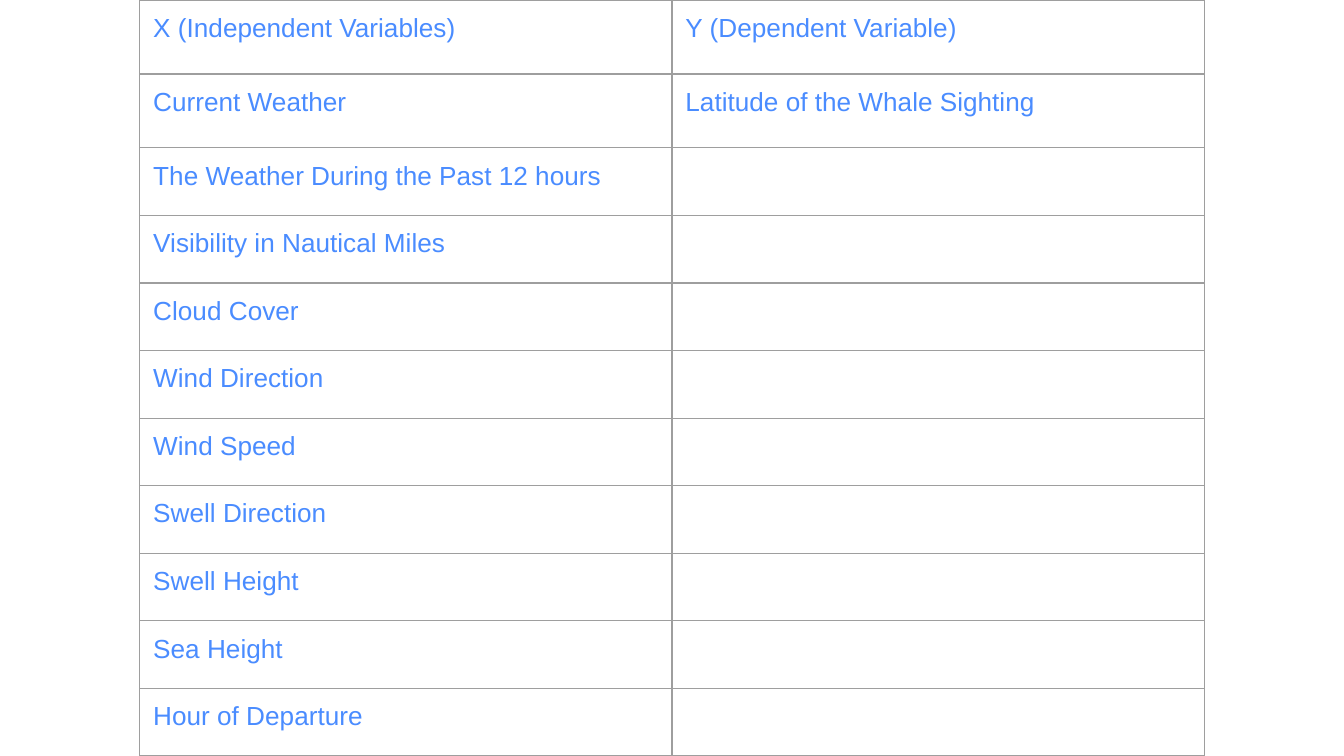
from lxml.etree import SubElement
from pptx import Presentation
from pptx.dml.color import RGBColor
from pptx.oxml.ns import qn
from pptx.util import Inches, Pt

TEXT_BLUE = RGBColor(0x4A, 0x8C, 0xFF)
BORDER_GRAY = RGBColor(0x9E, 0x9E, 0x9E)
FONT_NAME = "Arial"

INDEPENDENT = [
    "X (Independent Variables)",
    "Current Weather",
    "The Weather During the Past 12 hours",
    "Visibility in Nautical Miles",
    "Cloud Cover",
    "Wind Direction",
    "Wind Speed",
    "Swell Direction",
    "Swell Height",
    "Sea Height",
    "Hour of Departure",
]
DEPENDENT = ["Y (Dependent Variable)", "Latitude of the Whale Sighting"]

# A 16:9 slide
SLIDE_WIDTH = 10
SLIDE_HEIGHT = SLIDE_WIDTH * 9 / 16

# Rows with text in both columns are taller; the others share the rest
COLUMN_WIDTH = 3.96
TALL_ROW = 0.55
TALL_COUNT = len(DEPENDENT)
SHORT_COUNT = len(INDEPENDENT) - TALL_COUNT
SHORT_ROW = (SLIDE_HEIGHT - TALL_ROW * TALL_COUNT) / SHORT_COUNT


def add_borders(cell):
    properties = cell._tc.get_or_add_tcPr()
    for side in ("lnL", "lnR", "lnT", "lnB"):
        line = SubElement(properties, qn(f"a:{side}"), w=str(Pt(0.75)))
        fill = SubElement(line, qn("a:solidFill"))
        SubElement(fill, qn("a:srgbClr"), val=str(BORDER_GRAY))


def write_cell(cell, text):
    cell.margin_left = cell.margin_right = Inches(0.1)
    cell.margin_top = cell.margin_bottom = Inches(0.1)
    run = cell.text_frame.paragraphs[0].add_run()
    run.text = text
    run.font.name = FONT_NAME
    run.font.size = Pt(14)
    run.font.color.rgb = TEXT_BLUE


def add_variable_table(slide, columns, row_heights):
    frame = slide.shapes.add_table(
        len(row_heights), len(columns), Inches(1.04), Inches(0),
        Inches(COLUMN_WIDTH * len(columns)), Inches(sum(row_heights)))
    table = frame.table
    table.first_row = table.horz_banding = False
    for column in table.columns:
        column.width = Inches(COLUMN_WIDTH)
    for row, height in zip(table.rows, row_heights):
        row.height = Inches(height)

    # Borders go before the fill in the cell properties
    for cell in table.iter_cells():
        add_borders(cell)
        cell.fill.background()

    for column_index, texts in enumerate(columns):
        for row_index, text in enumerate(texts):
            write_cell(table.cell(row_index, column_index), text)


def main():
    presentation = Presentation()
    presentation.slide_width = Inches(SLIDE_WIDTH)
    presentation.slide_height = Inches(SLIDE_HEIGHT)
    slide = presentation.slides.add_slide(presentation.slide_layouts[6])

    row_heights = [TALL_ROW] * TALL_COUNT + [SHORT_ROW] * SHORT_COUNT
    add_variable_table(slide, [INDEPENDENT, DEPENDENT], row_heights)

    presentation.save("out.pptx")


if __name__ == "__main__":
    main()
